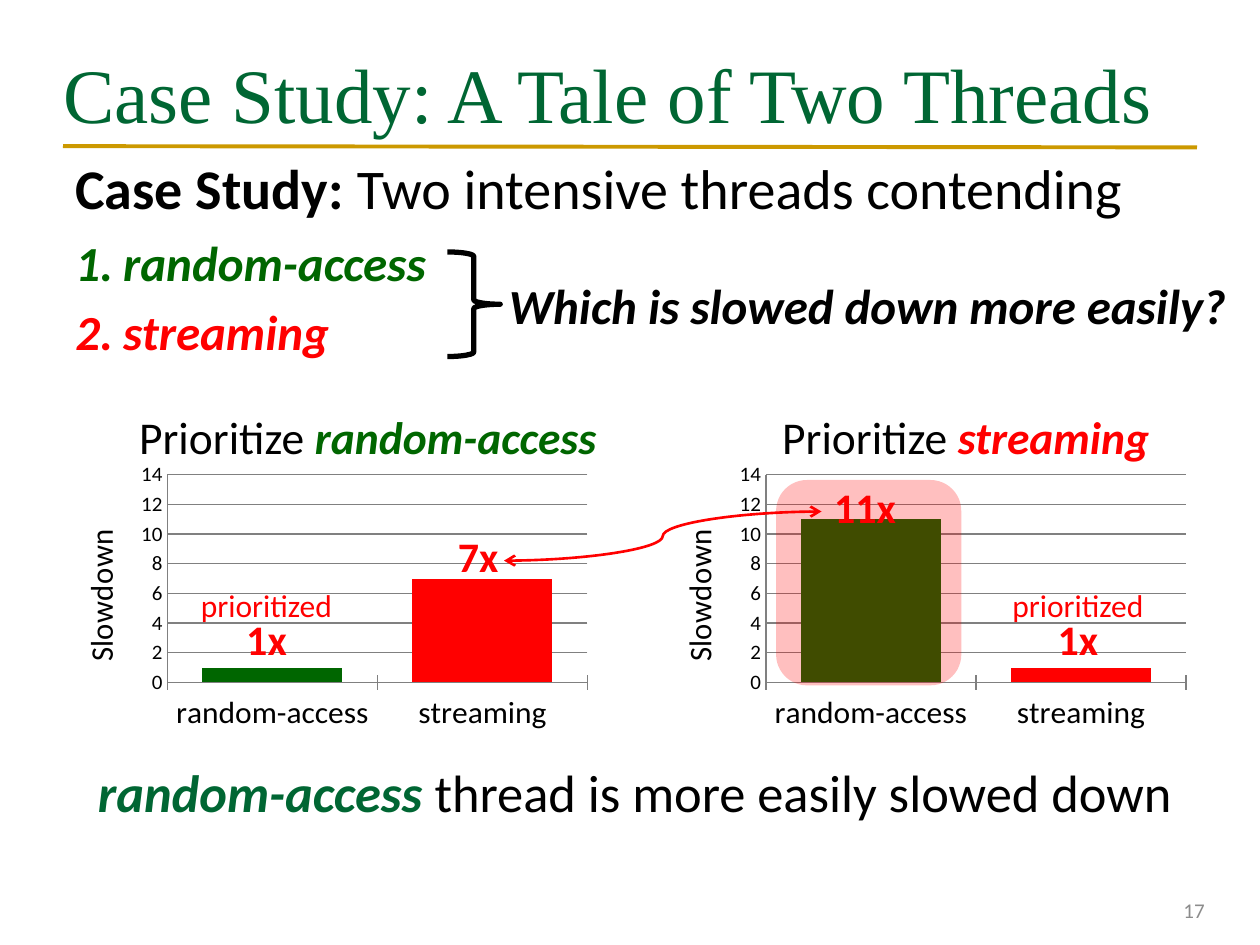
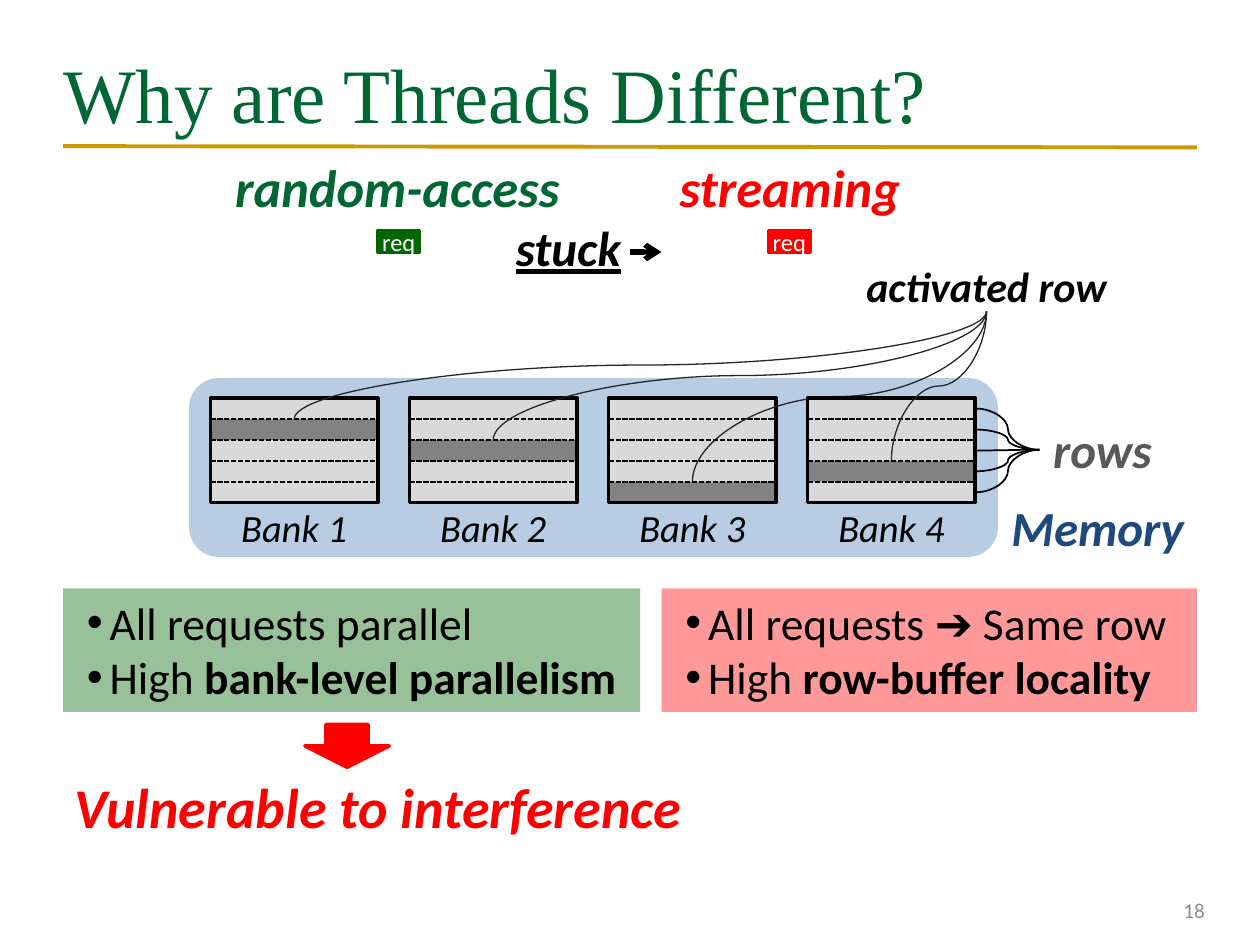
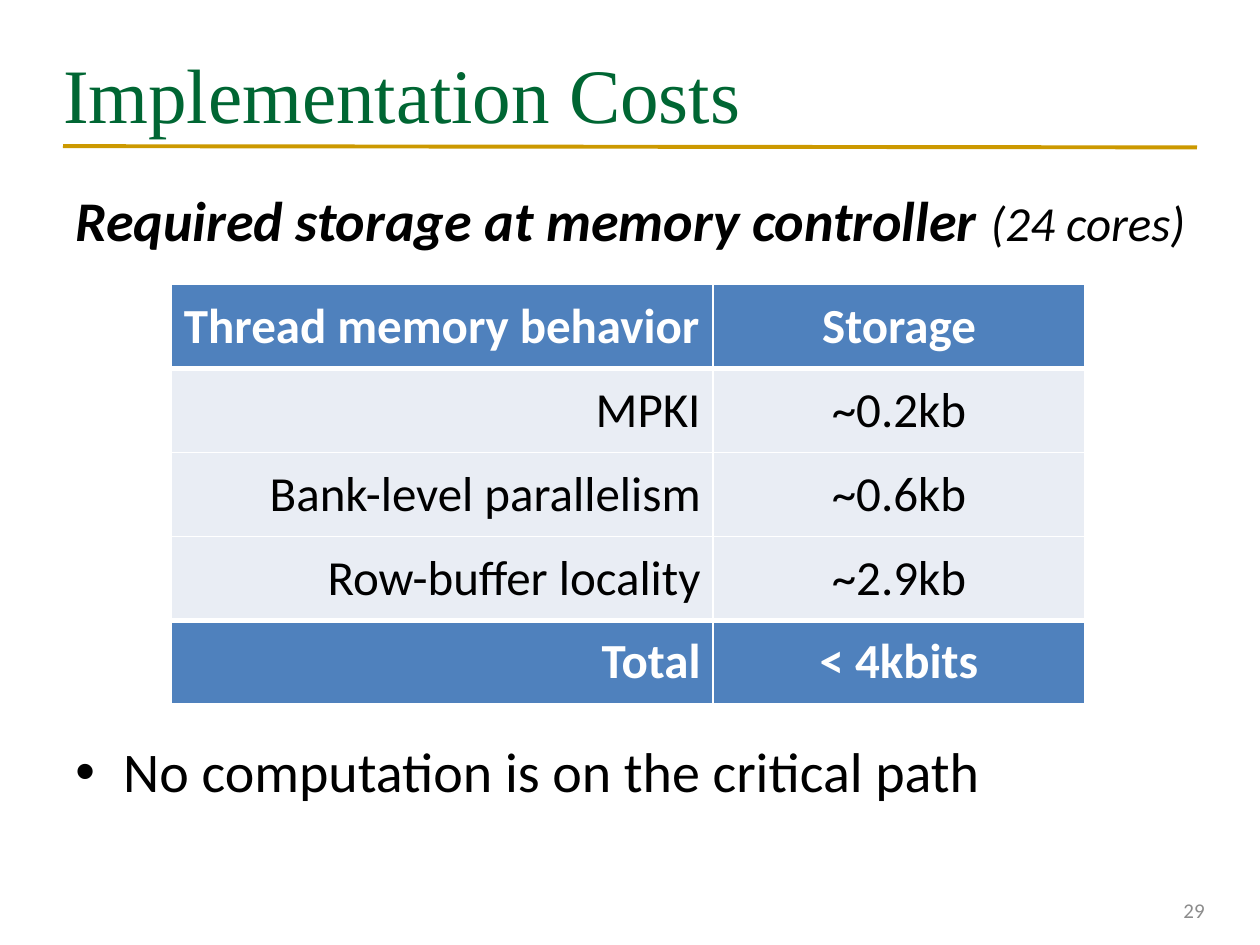
from lxml import etree
from pptx import Presentation
from pptx import util as u
from pptx.chart.data import CategoryChartData
from pptx.dml.color import RGBColor
from pptx.enum import chart as ch, dml, shapes, text
from pptx.oxml.ns import qn

BLACK = RGBColor(0x00, 0x00, 0x00)
WHITE = RGBColor(0xFF, 0xFF, 0xFF)
RED = RGBColor(0xFF, 0x00, 0x00)
GREEN = RGBColor(0x00, 0x66, 0x00)
TITLE_GREEN = RGBColor(0x00, 0x66, 0x33)
GOLD = RGBColor(0xCC, 0x99, 0x00)
BLUE = RGBColor(0x4F, 0x81, 0xBD)
NAVY = RGBColor(0x1F, 0x49, 0x7D)
PALE = RGBColor(0xE9, 0xED, 0xF4)
BANK_GRAY = RGBColor(0xD9, 0xD9, 0xD9)
ROW_GRAY = RGBColor(0x59, 0x59, 0x59)
AXIS_GRAY = RGBColor(0x80, 0x80, 0x80)
PAGE_GRAY = RGBColor(0x8C, 0x8C, 0x8C)
CURVE_GRAY = RGBColor(0x26, 0x26, 0x26)

FONT = "Calibri"
TITLE_FONT = "Times New Roman"
SHAPE = shapes.MSO_SHAPE
STRAIGHT = shapes.MSO_CONNECTOR.STRAIGHT
CURVE = shapes.MSO_CONNECTOR.CURVE
LEFT, CENTER, RIGHT = text.PP_ALIGN.LEFT, text.PP_ALIGN.CENTER, text.PP_ALIGN.RIGHT
TOP, MIDDLE = text.MSO_ANCHOR.TOP, text.MSO_ANCHOR.MIDDLE


def add_box(s, at, paras=(), preset=None, fill=None, alpha=None, line=None, width=2,
            align=CENTER, anchor=TOP, inset=(0, 0), spacing=None, before=None,
            bullet=None, indent=0.38, hang=0.38):
    """Add a text box or preset shape; a run is (text, size, colour, style)."""
    at = [u.Inches(v) for v in at]
    if preset is None:
        sp = s.shapes.add_textbox(*at)
    else:
        sp = s.shapes.add_shape(preset, *at)
        sp.shadow.inherit = False
        if fill is None:
            sp.fill.background()
        else:
            sp.fill.solid()
            sp.fill.fore_color.rgb = fill
        if alpha:
            color = sp._element.spPr.find(qn("a:solidFill"))[0]
            etree.SubElement(color, qn("a:alpha"), val=str(alpha * 1000))
        if line is None:
            sp.line.fill.background()
        else:
            sp.line.color.rgb = line
            sp.line.width = u.Pt(width)
    tf = sp.text_frame
    tf.word_wrap = True
    tf.vertical_anchor = anchor
    tf.margin_left = tf.margin_right = u.Inches(inset[0])
    tf.margin_top = tf.margin_bottom = u.Inches(inset[1])
    for i, runs in enumerate(paras):
        p = tf.paragraphs[0] if i == 0 else tf.add_paragraph()
        p.alignment = align
        if spacing:
            p.line_spacing = spacing
        if before:
            p.space_before = u.Pt(before)
        if bullet:
            pPr = p._p.get_or_add_pPr()
            pPr.set("marL", str(u.Inches(indent)))
            pPr.set("indent", str(-u.Inches(hang)))
            if bullet == "1.":
                etree.SubElement(pPr, qn("a:buAutoNum"), type="arabicPeriod")
            else:
                etree.SubElement(pPr, qn("a:buFont"), typeface="Arial")
                etree.SubElement(pPr, qn("a:buChar"), char=bullet)
        for words, size, color, style in runs:
            r = p.add_run()
            r.text = words
            r.font.name = FONT
            r.font.size = u.Pt(size)
            r.font.color.rgb = color
            r.font.bold = "b" in style
            r.font.italic = "i" in style
            r.font.underline = "u" in style
    return sp


def add_line(s, kind, start, end, color, width, arrows=()):
    """Add a connector; arrows names the ends that carry an arrowhead."""
    c = s.shapes.add_connector(kind, *[u.Inches(v) for v in (*start, *end)])
    c.line.color.rgb = color
    c.line.width = u.Pt(width)
    for name in arrows:
        etree.SubElement(c.line._get_or_add_ln(), qn("a:" + name), type="arrow")
    etree.SubElement(c._element.spPr, qn("a:effectLst"))
    return c


prs = Presentation()
prs.slide_width, prs.slide_height = u.Inches(10), u.Inches(7.5)

# Shared title, rule and page number
slides = []
for title, page in [("Case Study: A Tale of Two Threads", "17"),
                    ("Why are Threads Different?", "18"),
                    ("Implementation Costs", "29")]:
    s = prs.slides.add_slide(prs.slide_layouts[5])
    slides.append(s)
    add_line(s, STRAIGHT, (0.5, 1.16), (9.5, 1.17), GOLD, 2.25)
    t = s.shapes.title
    t.left, t.top, t.width, t.height = [u.Inches(v) for v in (0.5, 0.3, 9, 0.87)]
    tf = t.text_frame
    tf.auto_size = text.MSO_AUTO_SIZE.NONE
    tf.vertical_anchor = MIDDLE
    tf.margin_left = tf.margin_right = 0
    p = tf.paragraphs[0]
    p.alignment = LEFT
    r = p.add_run()
    r.text = title
    r.font.name, r.font.size = TITLE_FONT, u.Pt(44)
    r.font.color.rgb = TITLE_GREEN
    add_box(s, (7.33, 7.02, 2.33, 0.4), [[(page, 12, PAGE_GRAY, "")]],
            align=RIGHT, anchor=MIDDLE, inset=(0.1, 0.05))

# Slide 1: the two threads and the question
s = slides[0]
add_box(s, (0.5, 1.17, 9, 0.64),
        [[("Case Study:", 32, BLACK, "b"), (" Two intensive threads contending", 32, BLACK, "")]],
        align=LEFT, inset=(0.1, 0.05))
add_box(s, (0.5, 1.8, 3.2, 1.2),
        [[("random-access", 28, GREEN, "bi")], [("streaming", 28, RED, "bi")]],
        align=LEFT, inset=(0.1, 0.05), before=5.6, bullet="1.")
add_box(s, (3.55, 2, 0.42, 0.83), preset=SHAPE.RIGHT_BRACE, line=BLACK, width=3)
add_box(s, (3.94, 2.14, 5.92, 0.57),
        [[("Which is slowed down more easily?", 28, BLACK, "bi")]],
        align=LEFT, inset=(0.1, 0.05))

# Slide 1: slowdown charts
for x, values in [(0.42, (1, 7)), (5.17, (11, 1))]:
    data = CategoryChartData()
    data.categories = ["random-access", "streaming"]
    data.add_series("Series 1", values)
    chart = s.shapes.add_chart(ch.XL_CHART_TYPE.COLUMN_CLUSTERED, u.Inches(x), u.Inches(3.67),
                               u.Inches(4.33), u.Inches(2.17), data).chart
    chart.has_legend = chart.has_title = False
    chart.font.name, chart.font.size = FONT, u.Pt(18)
    chart.font.color.rgb = BLACK
    plot = chart.plots[0]
    plot.gap_width = 50
    plot.vary_by_categories = False
    for i, color in enumerate((GREEN, RED)):
        fill = plot.series[0].points[i].format.fill
        fill.solid()
        fill.fore_color.rgb = color

    cat, val = chart.category_axis, chart.value_axis
    cat.tick_label_position = ch.XL_TICK_LABEL_POSITION.LOW
    cat.major_tick_mark = ch.XL_TICK_MARK.CROSS
    cat.tick_labels.font.size = u.Pt(18)
    val.minimum_scale, val.maximum_scale, val.major_unit = 0, 14, 2
    val.major_tick_mark = ch.XL_TICK_MARK.INSIDE
    val.tick_labels.font.size = u.Pt(12)
    val.has_major_gridlines = True
    for line in (cat.format.line, val.format.line, val.major_gridlines.format.line):
        line.color.rgb = AXIS_GRAY
        line.width = u.Pt(0.75)
    r = val.axis_title.text_frame.paragraphs[0].add_run()
    r.text = "Slowdown"
    r.font.name, r.font.size, r.font.bold = FONT, u.Pt(18), False

    # Fixed inner plot area
    area = chart._chartSpace.chart.plotArea
    for old in area.findall(qn("c:layout")):
        area.remove(old)
    layout = etree.Element(qn("c:layout"))
    area.insert(0, layout)
    manual = etree.SubElement(layout, qn("c:manualLayout"))
    for tag, v in [("layoutTarget", "inner"), ("xMode", "edge"), ("yMode", "edge"),
                   ("x", "0.21"), ("y", "0.02"), ("w", "0.77"), ("h", "0.78")]:
        etree.SubElement(manual, qn("c:" + tag), val=v)

# Slide 1: chart captions and labels
add_box(s, (6.16, 3.81, 1.47, 1.63), preset=SHAPE.ROUNDED_RECTANGLE, fill=RED, alpha=25)
for at, name, color in [((0.92, 3.25, 4, 0.44), "random-access", GREEN),
                        ((6.04, 3.25, 3.25, 0.44), "streaming", RED)]:
    add_box(s, at, [[("Prioritize ", 26, BLACK, ""), (name, 26, color, "bi")]], inset=(0.1, 0))
for x in (1.42, 7.86):
    add_box(s, (x, 4.66, 1.39, 0.67),
            [[("prioritized", 18, RED, "")], [("1x", 24, RED, "b")]],
            inset=(0.1, 0.05), spacing=0.8)
for at, label in [((3.59, 4.23, 0.41, 0.43), "7x"), ((6.52, 3.85, 0.69, 0.42), "11x")]:
    add_box(s, at, [[(label, 24, RED, "b")]], anchor=MIDDLE, inset=(0, 0.05), spacing=0.8)
add_line(s, CURVE, (4, 4.45), (6.52, 4.06), RED, 1.5, ("headEnd", "tailEnd"))
add_box(s, (0.58, 6.08, 8.92, 0.5),
        [[("random-access ", 30, TITLE_GREEN, "bi"),
          ("thread is more easily slowed down", 30, BLACK, "")]],
        inset=(0.1, 0.05), spacing=0.8)

# Slide 2: memory banks, each with one activated row
s = slides[1]
BANK_W, BANK_H, BANK_TOP, ROWS = 1.33, 0.83, 3.16, 5
ROW_H = BANK_H / ROWS
add_box(s, (1.5, 3, 6.42, 1.42), preset=SHAPE.ROUNDED_RECTANGLE, fill=BLUE, alpha=40)
for i, active in enumerate((1, 2, 4, 3)):
    x = 1.67 + 1.58 * i
    add_box(s, (x, BANK_TOP, BANK_W, BANK_H), preset=SHAPE.RECTANGLE, fill=BANK_GRAY, line=BLACK)
    for j in range(1, ROWS):
        y = BANK_TOP + ROW_H * j
        c = add_line(s, STRAIGHT, (x, y), (x + BANK_W, y), BLACK, 1)
        c.line.dash_style = dml.MSO_LINE.SQUARE_DOT
    y = BANK_TOP + ROW_H * active
    add_box(s, (x, y, BANK_W, ROW_H), preset=SHAPE.RECTANGLE, fill=BLACK, alpha=40)
    add_box(s, (x, 4, BANK_W, 0.37), [[(f"Bank {i + 1}", 22, BLACK, "i")]])
    # A quarter turn about the centre makes the curve leave the row upwards
    x0, x1, y1 = x + BANK_W / 2, 7.83, 2.47
    cx, cy, dx, dy = (x0 + x1) / 2, (y + y1) / 2, (x1 - x0) / 2, (y - y1) / 2
    c = add_line(s, CURVE, (cx + dy, cy + dx), (cx - dy, cy - dx), CURVE_GRAY, 0.75)
    c.rotation = 90
for j in range(ROWS):
    add_line(s, CURVE, (7.75, BANK_TOP + ROW_H * (j + 0.5)), (8.25, 3.57), BLACK, 1)

# Slide 2: labels
for at, label, size, color, style, spacing in [
        ((1.83, 1.33, 2.65, 0.4), "random-access", 30, TITLE_GREEN, "bi", 0.8),
        ((5.17, 1.33, 2.2, 0.41), "streaming", 30, RED, "bi", 0.8),
        ((8, 3.95, 1.42, 0.47), "Memory", 28, NAVY, "bi", None),
        ((8.25, 3.33, 1, 0.47), "rows", 28, ROW_GRAY, "bi", None),
        ((6.83, 2.07, 2, 0.4), "activated row", 24, BLACK, "bi", None),
        ((4.02, 1.73, 0.98, 0.47), "stuck", 28, BLACK, "biu", None)]:
    add_box(s, at, [[(label, size, color, style)]], spacing=spacing)
for x, color in [(3, GREEN), (6.1, RED)]:
    add_box(s, (x, 1.83, 0.33, 0.17), [[("req", 14, WHITE, "")]], preset=SHAPE.RECTANGLE,
            fill=color, line=color, anchor=MIDDLE, inset=(0, 0.05))
add_line(s, STRAIGHT, (5, 2), (5.25, 2), BLACK, 3, ("tailEnd",))

# Slide 2: what each thread does, and the consequence
for x, w, color, first, second in [
        (0.5, 4.58, GREEN, "All requests parallel", "bank-level parallelism"),
        (5.25, 4.25, RED, "All requests \u2794 Same row", "row-buffer locality")]:
    add_box(s, (x, 4.67, w, 0.98),
            [[(first, 26, BLACK, "")], [("High ", 26, BLACK, ""), (second, 26, BLACK, "b")]],
            preset=SHAPE.RECTANGLE, fill=color, alpha=40, align=LEFT, inset=(0, 0.05),
            bullet="\u2022", indent=0.37, hang=0.18)
add_box(s, (2.42, 5.75, 0.67, 0.34), preset=SHAPE.DOWN_ARROW, fill=RED, line=RED)
add_box(s, (0.5, 6.08, 5, 0.64), [[("Vulnerable to interference", 32, RED, "bi")]],
        inset=(0, 0.05))

# Slide 3: statements around the table
s = slides[2]
add_box(s, (0.5, 1.42, 9.17, 0.64),
        [[("Required storage at memory controller ", 32, BLACK, "bi"),
          ("(24 cores)", 28, BLACK, "i")]],
        align=LEFT, inset=(0.1, 0.05))
add_box(s, (0.5, 5.8, 9.17, 0.64), [[("No computation is on the critical path", 32, BLACK, "")]],
        align=LEFT, inset=(0.1, 0.05), bullet="\u2022")

# Slide 3: storage table
rows = [("Thread memory behavior", "Storage"), ("MPKI", "~0.2kb"),
        ("Bank-level parallelism", "~0.6kb"), ("Row-buffer locality", "~2.9kb"),
        ("Total", "< 4kbits")]
last = len(rows) - 1
table = s.shapes.add_table(len(rows), 2, u.Inches(1.36), u.Inches(2.26),
                           u.Inches(7.25), u.Inches(3.33)).table
table.horz_banding = False
table.last_row = True
table.columns[0].width, table.columns[1].width = u.Inches(4.3), u.Inches(2.95)
for i, row in enumerate(rows):
    strong = i in (0, last)
    for j, words in enumerate(row):
        cell = table.cell(i, j)
        cell.vertical_anchor = MIDDLE
        cell.fill.solid()
        cell.fill.fore_color.rgb = BLUE if strong else PALE
        p = cell.text_frame.paragraphs[0]
        p.alignment = CENTER if j else RIGHT if i else LEFT
        r = p.add_run()
        r.text = words
        r.font.name, r.font.size, r.font.bold = FONT, u.Pt(28), strong
        r.font.color.rgb = WHITE if strong else BLACK
        # White borders, thicker beside the header and the total
        thick = {"lnT": i in (1, last), "lnB": i in (0, last - 1)}
        for k, side in enumerate(("lnL", "lnR", "lnT", "lnB")):
            ln = etree.Element(qn("a:" + side), w=str(u.Pt(3 if thick.get(side) else 1)))
            etree.SubElement(etree.SubElement(ln, qn("a:solidFill")), qn("a:srgbClr"),
                             val=str(WHITE))
            cell._tc.get_or_add_tcPr().insert(k, ln)

prs.save("out.pptx")
